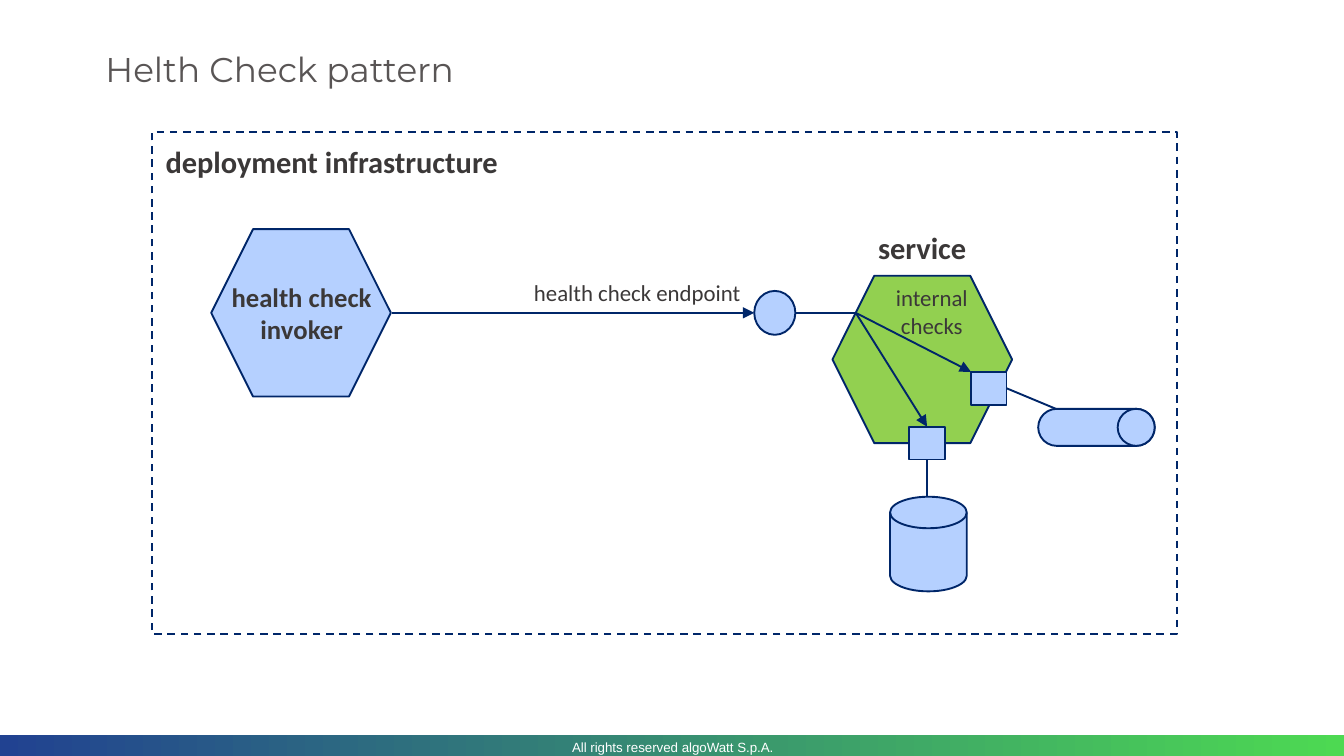
from lxml import etree
from pptx import Presentation
from pptx.dml.color import RGBColor
from pptx.enum import dml, shapes, text
from pptx.oxml import ns
from pptx.util import Inches, Pt

KINDS = shapes.MSO_SHAPE
ALIGN = text.PP_ALIGN
NAVY, SKY, GREEN, WHITE = "002669", "B5D0FF", "92D050", "FFFFFF"
TOP, LEFT, BOTTOM, RIGHT = range(4)


def color(value):
    return RGBColor.from_string(value)


class Diagram:
    """Draws styled elements on the current page."""

    def __init__(self, page, font="Calibri", ink="3B3838", outline=NAVY):
        self.page, self.font, self.ink, self.outline = page, font, ink, outline

    def shape(self, kind, x, y, width, height, fill=SKY, dash=None):
        item = self.page.shapes.add_shape(
            kind, Inches(x), Inches(y), Inches(width), Inches(height))
        item.shadow.inherit = False
        item.fill.solid()
        item.fill.fore_color.rgb = color(fill)
        item.line.color.rgb = color(self.outline)
        item.line.width = Pt(1)
        if dash:
            item.line.dash_style = dash
        return item

    def band(self, x, y, width, height, colors):
        item = self.shape(KINDS.RECTANGLE, x, y, width, height)
        item.line.fill.background()
        item.fill.gradient()
        item.fill.gradient_angle = 0
        for stop, value in zip(item.fill.gradient_stops, colors):
            stop.color.rgb = color(value)

    def label(self, words, x, y, width, height, size, bold=False,
              align=ALIGN.CENTER, font=None, ink=None, anchor=text.MSO_ANCHOR.TOP):
        box = self.page.shapes.add_textbox(
            Inches(x), Inches(y), Inches(width), Inches(height))
        frame = box.text_frame
        frame.word_wrap = True
        frame.vertical_anchor = anchor
        frame.text = words
        for para in frame.paragraphs:
            para.alignment = align
            for span in para.runs:
                span.font.size = Pt(size)
                span.font.bold = bold
                span.font.name = font or self.font
                span.font.color.rgb = color(ink or self.ink)

    def link(self, start, end, source=None, target=None, arrow=False):
        line = self.page.shapes.add_connector(
            shapes.MSO_CONNECTOR.STRAIGHT, *map(Inches, start + end))
        if source:
            line.begin_connect(*source)
        if target:
            line.end_connect(*target)
        line.line.color.rgb = color(self.outline)
        line.line.width = Pt(1)
        if arrow:
            tail = etree.SubElement(line.line._get_or_add_ln(), ns.qn("a:tailEnd"))
            tail.set("type", "triangle")
        etree.SubElement(line._element.spPr, ns.qn("a:effectLst"))


def main():
    deck = Presentation()
    deck.slide_width, deck.slide_height = Inches(9.8), Inches(5.51)
    diagram = Diagram(deck.slides.add_slide(deck.slide_layouts[6]))
    middle = text.MSO_ANCHOR.MIDDLE

    diagram.band(0, 5.36, 9.8, 0.15, ("214291", "4DD952"))
    diagram.label("Helth Check pattern", 0.67, 0.29, 8.45, 0.43, 18,
                  align=ALIGN.LEFT, font="Montserrat", ink="595555", anchor=middle)
    diagram.label("All rights reserved algoWatt S.p.A.", 3.25, 5.3, 3.31, 0.29, 7,
                  font="Arial", ink=WHITE, anchor=middle)

    diagram.shape(KINDS.RECTANGLE, 1.11, 0.96, 7.47, 3.66, WHITE,
                  dml.MSO_LINE.DASH)
    diagram.label("deployment infrastructure", 1.11, 0.99, 3.27, 0.37, 16, True,
                  ALIGN.LEFT)

    diagram.shape(KINDS.HEXAGON, 6.07, 2.01, 1.31, 1.22, GREEN)
    diagram.label("service", 6.21, 1.62, 1.03, 0.37, 16, True)
    diagram.shape(KINDS.HEXAGON, 1.54, 1.67, 1.31, 1.22)
    diagram.label("health check invoker", 1.33, 2, 1.74, 0.57, 14, True)

    diagram.shape(KINDS.OVAL, 5.5, 2.12, 0.3, 0.32)
    diagram.label("health check endpoint", 3.46, 1.98, 2.04, 0.3, 12,
                  align=ALIGN.RIGHT)
    diagram.shape(KINDS.FLOWCHART_MAGNETIC_DISK, 6.49, 3.62, 0.56, 0.69)
    queue = diagram.shape(KINDS.ROUNDED_RECTANGLE, 7.57, 2.98, 0.85, 0.27)
    queue.adjustments[0] = 0.5
    diagram.shape(KINDS.OVAL, 8.15, 2.98, 0.27, 0.27)
    queue_check, disk_check = (
        diagram.shape(KINDS.RECTANGLE, x, y, 0.26, 0.24)
        for x, y in ((7.08, 2.71), (6.63, 3.11)))

    entry = (6.24, 2.28)
    diagram.link((2.86, 2.28), (5.5, 2.28), arrow=True)
    diagram.link((5.8, 2.28), entry)
    diagram.link(entry, (7.08, 2.71), arrow=True)
    diagram.link(entry, (6.76, 3.11), target=(disk_check, TOP), arrow=True)
    diagram.link((7.34, 2.83), (7.7, 2.98), source=(queue_check, RIGHT))
    diagram.link((6.76, 3.35), (6.76, 3.62), source=(disk_check, BOTTOM))
    diagram.label("internal\nchecks", 6.38, 2.02, 0.83, 0.5, 12)
    deck.save("out.pptx")


if __name__ == "__main__":
    main()
